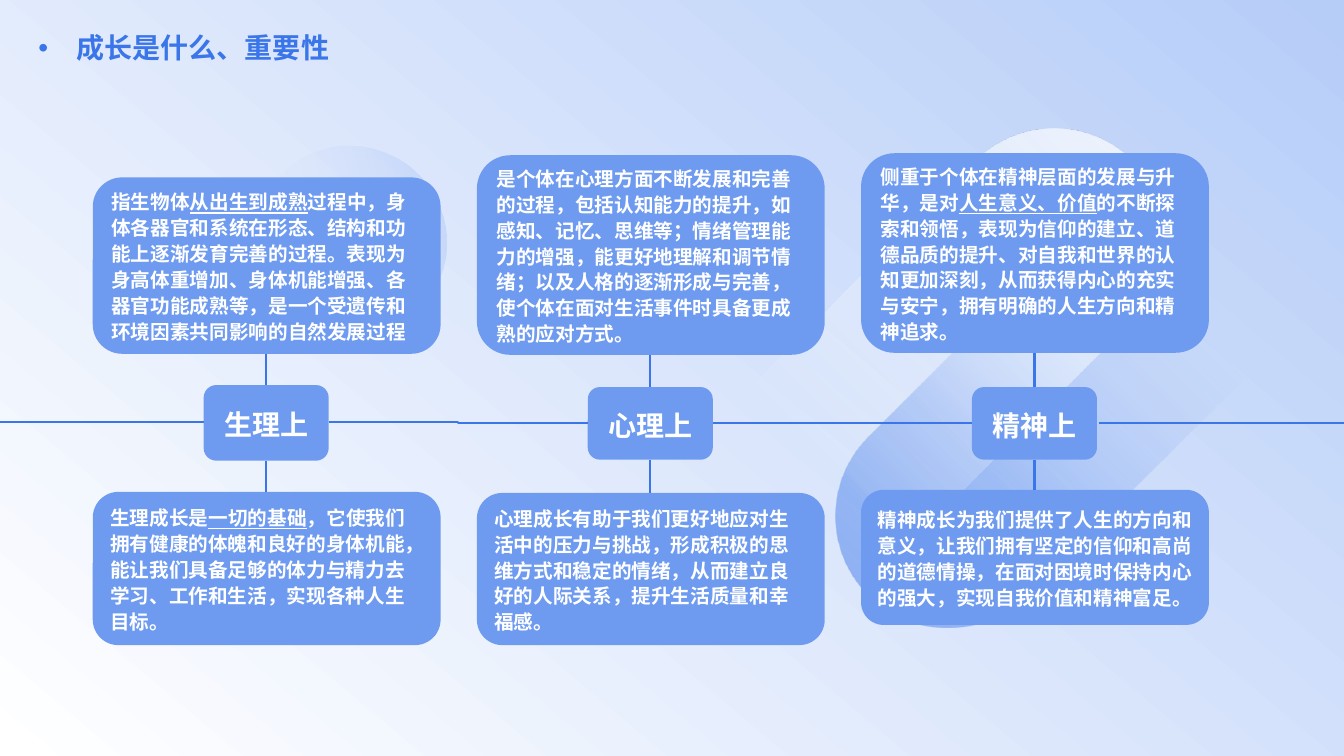
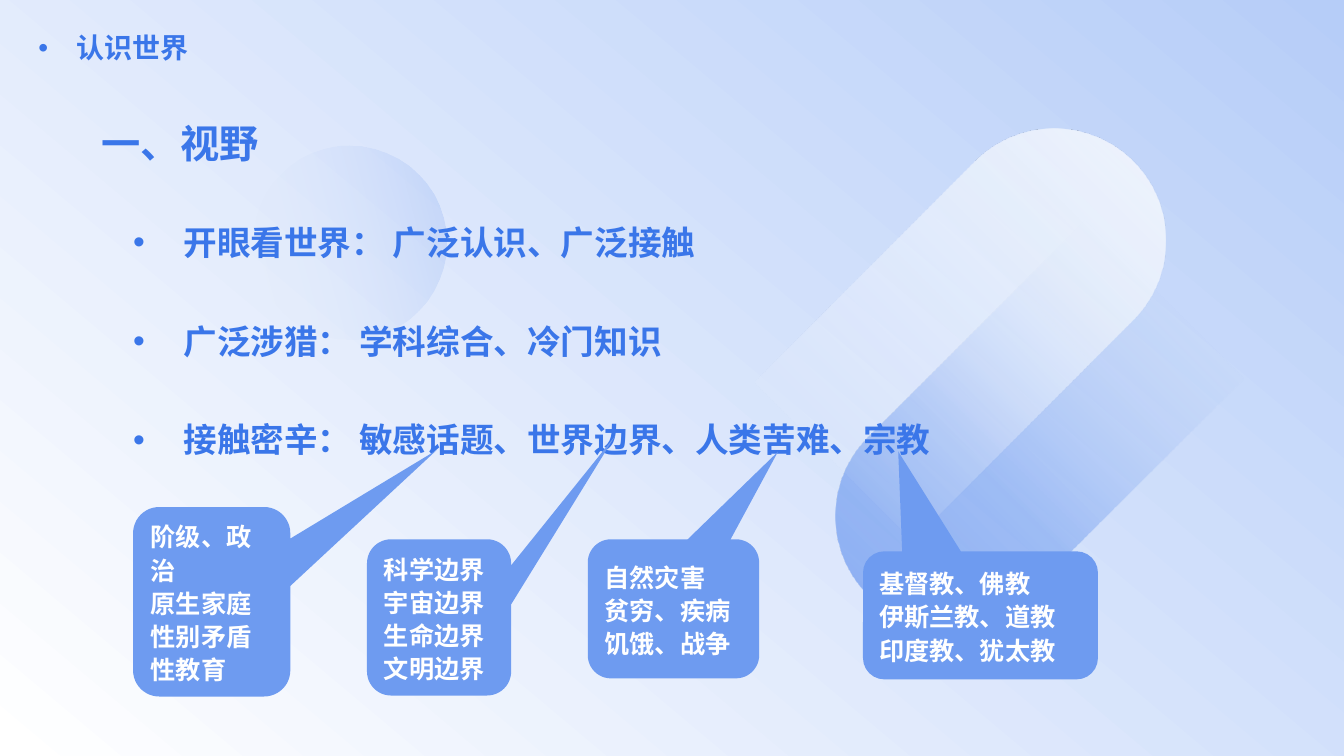
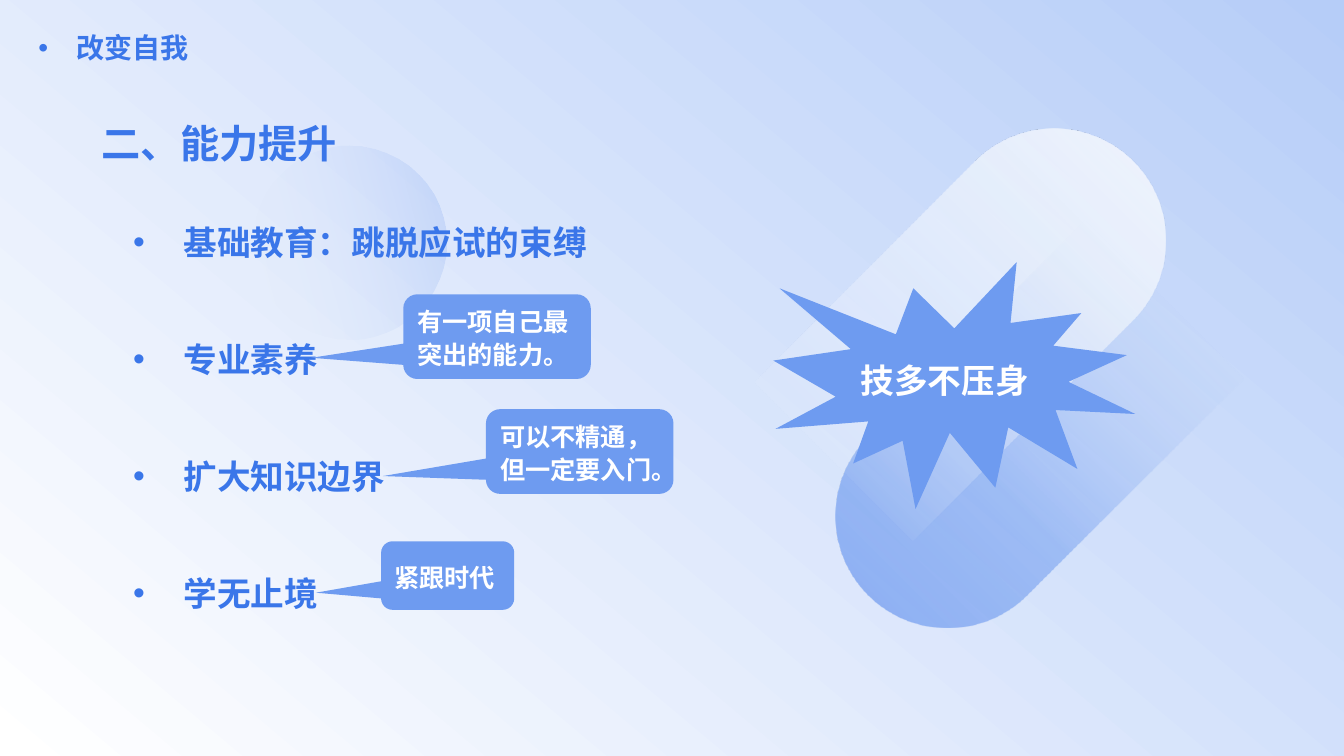
from lxml import etree
from pptx import Presentation
from pptx.dml.color import RGBColor
from pptx.enum.shapes import MSO_CONNECTOR, MSO_SHAPE
from pptx.enum.text import MSO_ANCHOR, MSO_AUTO_SIZE, PP_ALIGN
from pptx.oxml import parse_xml
from pptx.oxml.ns import nsdecls, qn
from pptx.util import Pt

PX = 9144  # 100 px to the inch
WIDTH, HEIGHT = 1333, 750
BLUE, CARD_BLUE, WHITE, PALE = "3A76E9", "6E9BF0", "FFFFFF", "D8E4FB"
CJK_FONT = "Noto Sans CJK SC"
LEFT, CENTER = PP_ALIGN.LEFT, PP_ALIGN.CENTER
ROUNDED = MSO_SHAPE.ROUNDED_RECTANGLE
CALLOUT = MSO_SHAPE.ROUNDED_RECTANGULAR_CALLOUT
HALF_ROUND = MSO_SHAPE.ROUND_2_SAME_RECTANGLE
STRAIGHT, ELBOW = MSO_CONNECTOR.STRAIGHT, MSO_CONNECTOR.ELBOW
CARD_FRAME = {"word_wrap": True, "vertical_anchor": MSO_ANCHOR.MIDDLE}
PLAIN_FRAME = {
    "word_wrap": True, "auto_size": MSO_AUTO_SIZE.NONE, "vertical_anchor": MSO_ANCHOR.BOTTOM,
    "margin_left": 0, "margin_top": 0, "margin_right": 0, "margin_bottom": 0,
}


def write_text(shape, text, size, colour, frame_format, spacing,
               font="Arial", align=LEFT, hang=0):
    """Lines become paragraphs, text between bars is underlined, hang adds a bullet."""
    frame = shape.text_frame
    for name, value in frame_format.items():
        setattr(frame, name, value)
    for index, line in enumerate(text.split("\n")):
        paragraph = frame.add_paragraph() if index else frame.paragraphs[0]
        if hang:
            properties = paragraph._p.get_or_add_pPr()
            properties.set("marL", str(hang * PX))
            properties.set("indent", str(-hang * PX))
            etree.SubElement(properties, qn("a:buFont"), typeface="Arial")
            etree.SubElement(properties, qn("a:buChar"), char="•")
        paragraph.alignment = align
        paragraph.line_spacing = spacing
        for position, piece in enumerate(line.split("|")):
            run = paragraph.add_run()
            run.text = piece
            run_format = {"name": font, "size": Pt(size), "bold": True,
                          "underline": position % 2 == 1}
            for name, value in run_format.items():
                setattr(run.font, name, value)
            run.font.color.rgb = RGBColor.from_string(colour)
            etree.SubElement(run._r.get_or_add_rPr(), qn("a:ea"), typeface=CJK_FONT)


def add_card(slide, kind, box, text, size, adjustments=(), font="Arial", align=LEFT):
    card = slide.shapes.add_shape(kind, *[value * PX for value in box])
    card.shadow.inherit = False
    card.fill.solid()
    card.fill.fore_color.rgb = RGBColor.from_string(CARD_BLUE)
    card.line.fill.background()
    for index, value in enumerate(adjustments):
        card.adjustments[index] = value
    write_text(card, text, size, WHITE, CARD_FRAME, 1.1, font, align)


presentation = Presentation()
presentation.slide_width = WIDTH * PX
presentation.slide_height = HEIGHT * PX
layout = presentation.slide_layouts[5]
layout.background.fill.solid()
layout.background.fill.fore_color.rgb = RGBColor.from_string(PALE)

slides = []
for title in ("成长是什么、重要性", "认识世界", "改变自我"):
    slide = presentation.slides.add_slide(layout)
    heading = slide.shapes.title
    heading.left, heading.top, heading.width, heading.height = [
        value * PX for value in (38, 27, 326, 37)]
    write_text(heading, title, 20, BLUE, PLAIN_FRAME, 1.0, hang=38)
    slides.append(slide)
growth, world, change = slides

# Backdrop: drawn once and moved to the layout; stops are position, colour, opacity
backdrop = [
    (MSO_SHAPE.RECTANGLE, (0, 0, WIDTH, HEIGHT), 0, 130,
     [(0, "B6CDF8", 100), (100, WHITE, 100)]),
    (MSO_SHAPE.OVAL, (250, 144, 193, 193), 0, 345,
     [(0, WHITE, 0), (100, BLUE, 17)]),
    (HALF_ROUND, (897, 237, 222, 414), 45, 270,
     [(0, WHITE, 0), (56, BLUE, 34), (98, BLUE, 55)]),
    (HALF_ROUND, (864, 99, 222, 420), 225, 90,
     [(0, "F5F8FE", 100), (87, WHITE, 0)]),
]
for index, (kind, box, rotation, angle, stops) in enumerate(backdrop):
    shape = growth.shapes.add_shape(kind, *[value * PX for value in box])
    shape.shadow.inherit = False
    shape.line.fill.background()
    shape.rotation = rotation
    properties = shape.element.spPr
    if kind == HALF_ROUND:
        shape.adjustments[0], shape.adjustments[1] = 0.5, 0
        properties.xfrm.set("flipH", "1")
        properties.xfrm.set("flipV", "1")
    stop_xml = "".join(
        f'<a:gs pos="{position * 1000}"><a:srgbClr val="{colour}">'
        f'<a:alpha val="{opacity * 1000}"/></a:srgbClr></a:gs>'
        for position, colour, opacity in stops)
    gradient = parse_xml(
        f'<a:gradFill {nsdecls("a")} rotWithShape="1"><a:gsLst>{stop_xml}</a:gsLst>'
        f'<a:lin ang="{angle * 60000}" scaled="0"/></a:gradFill>')
    properties.find(qn("a:prstGeom")).addnext(gradient)
    shape.element.nvSpPr.cNvPr.set("id", str(101 + index))
    layout.shapes.element.insert(2 + index, shape.element)

# Slide 1: three columns, each a label between two cards; pairs are top, height
COLUMN_STEP = 381
columns = [
    ("生理上", (382, 75), (176, 175), (488, 152),
     "指生物体|从出生到成熟|过程中，身体各器官和系统在形态、结构和功能上逐渐发育完善的过程。"
     "表现为身高体重增加、身体机能增强、各器官功能成熟等，是一个受遗传和环境因素共同影响的自然发展过程",
     "生理成长是|一切的基础|，它使我们拥有健康的体魄和良好的身体机能，"
     "能让我们具备足够的体力与精力去学习、工作和生活，实现各种人生目标。"),
    ("心理上", (384, 72), (154, 198), (489, 151),
     "是个体在心理方面不断发展和完善的过程，包括认知能力的提升，如感知、记忆、思维等；"
     "情绪管理能力的增强，能更好地理解和调节情绪；以及人格的逐渐形成与完善，"
     "使个体在面对生活事件时具备更成熟的应对方式。",
     "心理成长有助于我们更好地应对生活中的压力与挑战，形成积极的思维方式和稳定的情绪，"
     "从而建立良好的人际关系，提升生活质量和幸福感。"),
    ("精神上", (384, 72), (152, 198), (486, 134),
     "侧重于个体在精神层面的发展与升华，是对|人生意义、价值|的不断探索和领悟，"
     "表现为信仰的建立、道德品质的提升、对自我和世界的认知更加深刻，"
     "从而获得内心的充实与安宁，拥有明确的人生方向和精神追求。",
     "精神成长为我们提供了人生的方向和意义，让我们拥有坚定的信仰和高尚的道德情操，"
     "在面对困境时保持内心的强大，实现自我价值和精神富足。"),
]
lines = [
    (STRAIGHT, 0, 419, 202, 419),
    (ELBOW, 326, 419, 583, 420),
    (STRAIGHT, 707, 420, 964, 420),
    (STRAIGHT, 1090, 420, WIDTH, 420),
]
for index, (label, middle, upper, lower, meaning, importance) in enumerate(columns):
    offset = index * COLUMN_STEP
    add_card(growth, ROUNDED, (202 + offset, middle[0], 124, middle[1]), label, 20,
             font=CJK_FONT, align=CENTER)
    for (top, height), text in ((upper, meaning), (lower, importance)):
        add_card(growth, ROUNDED, (92 + offset, top, 345, height), text, 14, font=CJK_FONT)
    center = 264 + offset
    lines.append((STRAIGHT, center, middle[0], center, sum(upper)))
    lines.append((STRAIGHT, center, sum(middle), center, lower[0]))
for kind, *ends in lines:
    connector = growth.shapes.add_connector(kind, *[value * PX for value in ends])
    connector.line.color.rgb = RGBColor.from_string(BLUE)
    connector.line.width = Pt(1.5)
    etree.SubElement(connector.element.spPr, qn("a:effectLst"))

# Slides 2 and 3: section heading, evenly spaced topics, callouts
sections = [
    (world, "一、视野", (208, 98, 925, 52),
     ["开眼看世界： 广泛认识、广泛接触", "广泛涉猎： 学科综合、冷门知识",
      "接触密辛： 敏感话题、世界边界、人类苦难、宗教"],
     [((132, 503, 156, 188), (1.43, -0.8), "阶级、政治\n原生家庭\n性别矛盾\n性教育"),
      ((364, 535, 143, 155), (1.22, -1.16), "科学边界\n宇宙边界\n生命边界\n文明边界"),
      ((583, 535, 170, 138), (0.61, -1.13), "自然灾害\n贫穷、疾病\n饥饿、战争"),
      ((856, 547, 233, 127), (-0.35, -1.28), "基督教、佛教\n伊斯兰教、道教\n印度教、犹太教")]),
    (change, "二、能力提升", (210, 116, 672, 50),
     ["基础教育：跳脱应试的束缚", "专业素养", "扩大知识边界", "学无止境"],
     [((400, 292, 186, 84), (-0.99, 0.25), "有一项自己最突出的能力。"),
      ((482, 406, 186, 84), (-1.05, 0.29), "可以不精通，\n但一定要入门。"),
      ((378, 537, 132, 68), (-0.99, 0.25), "紧跟时代")]),
]
for slide, section, (first_top, step, width, height), topics, callouts in sections:
    texts = [((101, 94, 263, 71), section, 28, 0)]
    for index, topic in enumerate(topics):
        texts.append(((132, first_top + index * step, width, height), topic, 24, 50))
    for box, text, size, hang in texts:
        text_box = slide.shapes.add_textbox(*[value * PX for value in box])
        write_text(text_box, text, size, BLUE, PLAIN_FRAME, 1.7, hang=hang)
    for box, tip, text in callouts:
        add_card(slide, CALLOUT, box, text, 18, tip)
add_card(change, MSO_SHAPE.EXPLOSION1, (767, 260, 359, 245), "技多不压身", 24)

presentation.save("out.pptx")
